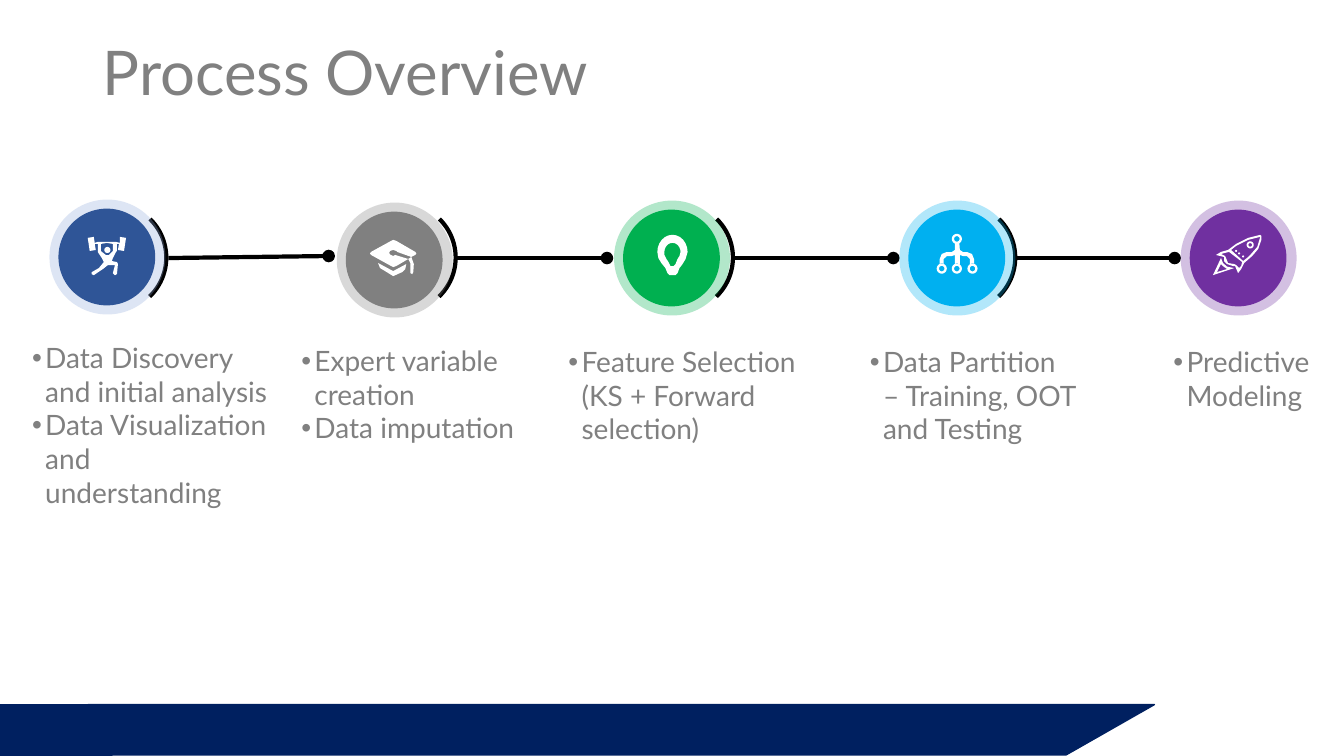
from math import cos, radians, sin

from lxml import etree
from pptx import Presentation
from pptx.dml.color import RGBColor
from pptx.enum.shapes import MSO_CONNECTOR, MSO_SHAPE as SHAPE
from pptx.enum.text import MSO_ANCHOR
from pptx.oxml.ns import qn
from pptx.util import Inches, Pt

NAVY = RGBColor(0x00, 0x20, 0x60)
GRAY = RGBColor(0x80, 0x80, 0x80)
BLACK = RGBColor(0x00, 0x00, 0x00)
WHITE = RGBColor(0xFF, 0xFF, 0xFF)
PALE_BLUE = RGBColor(0x8F, 0xAA, 0xDC)
BLUE = RGBColor(0x2F, 0x55, 0x97)
GREEN = RGBColor(0x00, 0xB0, 0x50)
SKY = RGBColor(0x00, 0xB0, 0xF0)
PURPLE = RGBColor(0x70, 0x30, 0xA0)

BODY_FORMAT = {"name": "Lato", "size": Pt(20)}
TITLE_FORMAT = {"name": "Lato", "size": Pt(44)}


def curve(x, y, radius_x, radius_y=None, start=0, end=360):
    """Points along an elliptical arc, clockwise in degrees from the right."""
    radius_y = radius_y or radius_x
    return [(x + radius_x * cos(radians(angle)), y + radius_y * sin(radians(angle)))
            for angle in range(start, end + 1, 15)]


# Icon outlines, in hundredths of an inch from the icon's top left corner.
WEIGHTLIFTER = [
    [(38, 1), (36, 14), (30, 13), (31, 7), (29, 7), (29, 14), (28, 15), (25, 21), (24, 24),
     (29, 25), (30, 27), (29, 37), (27, 38), (25, 36), (27, 28), (20, 28), (15, 32),
     (6, 38), (4, 37), (4, 35), (11, 31), (16, 25), (14, 21), (10, 15), (10, 7), (7, 7),
     (8, 13), (2, 14), (0, 1), (6, 0), (7, 6), (10, 5), (28, 5), (32, 6), (32, 0)],
    [(25, 7), (19, 6), (13, 7), (13, 14), (18, 18), (21, 18), (25, 14)],
    curve(19.5, 13, 3),
]
GRADUATION_CAP = [
    [(8, 23), (10, 28), (15, 31), (23, 36), (32, 32), (35, 29), (36, 24), (23, 31)],
    [(45, 12), (26, 1), (23, 0), (21, 1), (1, 12), (0, 13.5), (1, 15), (21, 26), (23, 27),
     (26, 26), (38, 19), (25, 15), (23, 16), (20, 14.5), (19, 13), (20, 11), (23, 10),
     (26, 11), (27, 12), (41, 17), (45, 15), (46, 13.5)],
    [(40, 33), (42, 34), (43, 32), (43.5, 24), (41, 17), (38, 19), (40, 23)],
]
LIGHT_BULB = [
    curve(15, 17, 15, 17, 180, 360) + [(28, 24), (25, 29), (22, 33), (20, 38), (18, 40),
                                       (12, 40), (10, 38), (8, 33), (4, 28), (1, 23)],
    curve(15, 17, 8, 9, 180, 360) + [(22, 21), (20, 24), (18, 29), (16, 31),
                                     (13, 31), (11, 27), (9, 24), (7, 20)],
]
HIERARCHY = [
    [(18, 9.8), (22.5, 9.8), (23, 16), (26, 18), (30, 18), (35, 20), (37, 25), (37, 30),
     (33, 30), (33, 25), (30, 22), (26, 22), (23, 21), (23, 30), (18, 30), (18, 21),
     (15, 22), (10, 22), (7, 25), (7, 30), (3, 30), (3, 25), (5, 20), (10, 18),
     (15, 18), (18, 16)],
    *[curve(x, y, radius) for x, y in ((20, 5), (5, 34.5), (20, 34.5), (35.5, 34.5))
      for radius in (5, 2.7)],
]
ROCKET = [
    [(8, 23), (0, 40), (21, 33), (14, 31.5), (10, 28)],
    [(4, 37), (8, 29), (10, 31), (14, 34)],
    [(48, 1), (47, 0), (35, 3), (23, 9), (15, 15), (8, 17), (3, 20), (11, 22), (11, 26),
     (14, 29), (20, 31), (22, 31), (25, 38), (28, 34), (31, 28), (39, 21), (45, 14), (48, 5)],
    [(47, 2), (44, 12), (37, 20), (35, 22), (30, 26), (18, 15), (23, 11), (35, 5)],
    [(29, 27), (28, 31), (26, 33), (23, 30), (21, 29), (15, 28), (13, 23), (12, 21),
     (8, 19), (16, 17)],
    curve(37, 10, 3.5), curve(37, 10, 1.8),
    *[curve(x, y, 1) for x, y in ((23, 16), (26, 18.5), (30, 21.5))],
]

# Halo left and top, halo colour, disc colour, icon, icon left and top.
STAGES = [
    (0.49, 1.98, PALE_BLUE, BLUE, WEIGHTLIFTER, 0.87, 2.35),
    (3.34, 2.01, GRAY, GRAY, GRADUATION_CAP, 3.67, 2.38),
    (6.09, 1.99, GREEN, GREEN, LIGHT_BULB, 6.52, 2.33),
    (8.92, 1.99, SKY, SKY, HIERARCHY, 9.29, 2.32),
    (11.71, 1.99, PURPLE, PURPLE, ROCKET, 12.03, 2.33),
]
# Arc left, link start, link end, link end height.
LINKS = [
    (0.58, 1.67, 3.26, 2.54),
    (3.45, 4.53, 6.02, 2.56),
    (6.2, 7.29, 8.86, 2.56),
    (9, 10.08, 11.65, 2.56),
]
# Left, top, width, height, bullets.
NOTES = [
    (0.22, 3.33, 2.55, 1.45, ["Data Discovery and initial analysis",
                              "Data Visualization and understanding"]),
    (2.89, 3.36, 2.59, 1.45, ["Expert variable creation", "Data imputation"]),
    (5.54, 3.37, 2.53, 1.11, ["Feature Selection (KS + Forward selection)"]),
    (8.53, 3.37, 2.27, 1.11, ["Data Partition – Training, OOT and Testing"]),
    (11.54, 3.37, 1.79, 0.77, ["Predictive Modeling"]),
]


def paint(shape, fill, line=None):
    shape.shadow.inherit = False
    shape.fill.solid()
    shape.fill.fore_color.rgb = fill
    if line:
        shape.line.color.rgb = line
        shape.line.width = Pt(1)
    else:
        shape.line.fill.background()


def add_preset(page, kind, left, top, width, height):
    return page.shapes.add_shape(kind, Inches(left), Inches(top), Inches(width), Inches(height))


def add_footer(page):
    band = add_preset(page, SHAPE.PARALLELOGRAM, 0, 6.99, 11.45, 0.5)
    band.adjustments[0] = 1.754
    corner = add_preset(page, SHAPE.RECTANGLE, 0, 6.99, 1.11, 0.5)
    for shape in (band, corner):
        paint(shape, NAVY, NAVY)


def add_link(page, arc_left, start, end, end_height):
    """Arc beside a stage, and the line with a round end to the next stage."""
    arc = add_preset(page, SHAPE.ARC, arc_left, 2.02, 1.07, 1.07)
    arc.rotation = 270
    arc.adjustments[0], arc.adjustments[1] = 26.572, 81.761
    arc.shadow.inherit = False
    arc.fill.background()
    link = page.shapes.add_connector(MSO_CONNECTOR.STRAIGHT, Inches(start), Inches(2.56),
                                     Inches(end), Inches(end_height))
    for shape in (arc, link):
        shape.line.color.rgb = BLACK
        shape.line.width = Pt(3)
    etree.SubElement(link.line._get_or_add_ln(), qn("a:tailEnd"), type="oval")
    etree.SubElement(link._element.spPr, qn("a:effectLst"))


def add_icon(page, outlines, left, top):
    placed = [[(Inches(left + x / 100), Inches(top + y / 100)) for x, y in outline]
              for outline in outlines]
    builder = page.shapes.build_freeform(*placed[0][0])
    for number, points in enumerate(placed):
        if number:
            builder.move_to(*points[0])
        builder.add_line_segments(points[1:], close=True)
    paint(builder.convert_to_shape(), WHITE)


def add_stage(page, left, top, halo_color, disc_color, icon, icon_left, icon_top):
    halo = add_preset(page, SHAPE.OVAL, left, top, 1.15, 1.14)
    paint(halo, halo_color)
    color = halo._element.spPr.find(qn("a:solidFill"))[0]
    etree.SubElement(color, qn("a:alpha"), val="30000")
    paint(add_preset(page, SHAPE.OVAL, left + 0.09, top + 0.09, 0.96, 0.96), disc_color)
    add_icon(page, icon, icon_left, icon_top)


def add_text(page, left, top, width, height, lines, font_format, bulleted=True):
    box = page.shapes.add_textbox(Inches(left), Inches(top), Inches(width), Inches(height))
    frame = box.text_frame
    frame.word_wrap = True
    for number, line in enumerate(lines):
        para = frame.add_paragraph() if number else frame.paragraphs[0]
        if bulleted:
            properties = para._p.get_or_add_pPr()
            properties.set("marL", str(Inches(0.13)))
            properties.set("indent", str(Inches(-0.13)))
            etree.SubElement(properties, qn("a:buFont"), typeface="Arial")
            etree.SubElement(properties, qn("a:buChar"), char="•")
        span = para.add_run()
        span.text = line
        for name, value in font_format.items():
            setattr(span.font, name, value)
        span.font.color.rgb = GRAY
    return frame


def main():
    deck = Presentation()
    deck.slide_width, deck.slide_height = Inches(13.33), Inches(7.5)
    page = deck.slides.add_slide(deck.slide_layouts[6])
    add_footer(page)
    title = add_text(page, 0.92, 0.24, 11.5, 1.02, ["Process Overview"], TITLE_FORMAT, False)
    title.vertical_anchor = MSO_ANCHOR.MIDDLE
    title.paragraphs[0].line_spacing = 0.9
    for link in LINKS:
        add_link(page, *link)
    for stage in STAGES:
        add_stage(page, *stage)
    for note in NOTES:
        add_text(page, *note, BODY_FORMAT)
    deck.save("out.pptx")


if __name__ == "__main__":
    main()
